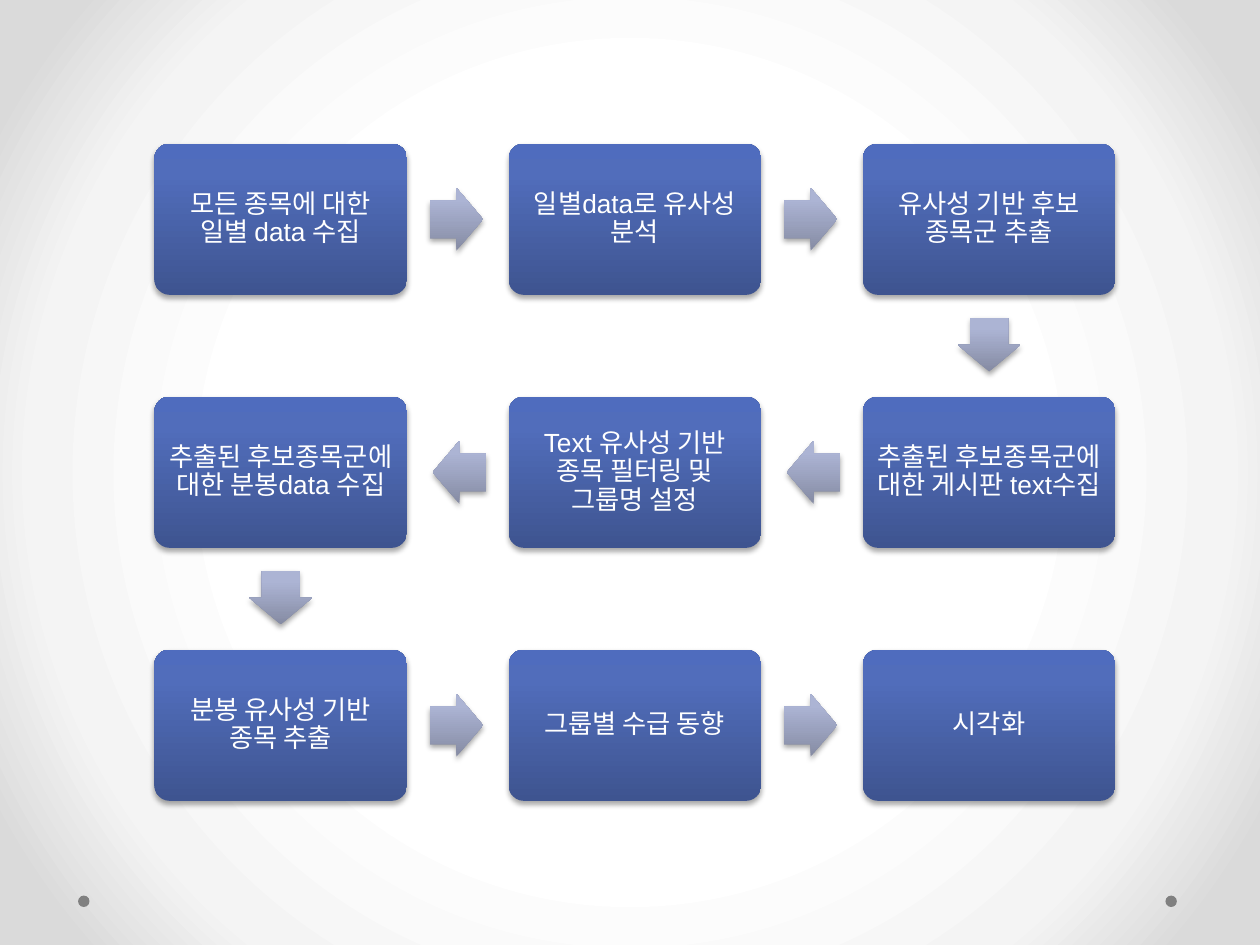
import pptx
import pptx.util
import pptx.oxml
import pptx.oxml.ns
import pptx.dml.color
import pptx.enum.shapes
import pptx.enum.text

Cm = pptx.util.Cm
Pt = pptx.util.Pt
RGB = pptx.dml.color.RGBColor
Kind = pptx.enum.shapes.MSO_SHAPE

WHITE = RGB(0xFF, 0xFF, 0xFF)
GREY = RGB(0x80, 0x80, 0x80)
BLACK = RGB(0, 0, 0)
PAGE = [(50, WHITE), (76, RGB(0xF4, 0xF4, 0xF4)), (92, RGB(0xDA, 0xDA, 0xDA))]
BLUE = [(0, RGB(0x3E, 0x54, 0x90)), (80, RGB(0x51, 0x6D, 0xBB)), (100, RGB(0x4F, 0x6C, 0xBE))]
PALE = [(0, RGB(0x85, 0x8B, 0xA3)), (80, RGB(0xAC, 0xB4, 0xD4)), (100, RGB(0xAC, 0xB5, 0xD6))]
UP = '<a:lin ang="16200000" scaled="0"/>'
ROUND = '<a:path path="circle"><a:fillToRect l="50000" t="50000" r="50000" b="50000"/></a:path>'

STEPS = [
    "모든 종목에 대한 일별 data 수집",
    "일별data로 유사성 분석",
    "유사성 기반 후보 종목군 추출",
    "추출된 후보종목군에 대한 게시판 text수집",
    "Text 유사성 기반 종목 필터링 및 그룹명 설정",
    "추출된 후보종목군에 대한 분봉data 수집",
    "분봉 유사성 기반 종목 추출",
    "그룹별 수급 동향",
    "시각화",
]
COLS = 3
LEFT, TOP = 5.66, 4.42
PITCH_X, PITCH_Y = 7.14, 5.1
REACH_X, REACH_Y = 3.54, 2.53


def assign(item, values):
    for name, value in values.items():
        setattr(item, name, value)


def blend(stops, course):
    marks = "".join(
        f'<a:gs pos="{pos * 1000}"><a:srgbClr val="{color}"/></a:gs>' for pos, color in stops)
    return pptx.oxml.parse_xml(
        f'<a:gradFill {pptx.oxml.ns.nsdecls("a")} rotWithShape="0">'
        f'<a:gsLst>{marks}</a:gsLst>{course}</a:gradFill>')


def shadow():
    return pptx.oxml.parse_xml(
        f'<a:effectLst {pptx.oxml.ns.nsdecls("a")}>'
        '<a:outerShdw blurRad="40000" dist="23000" dir="5400000" rotWithShape="0">'
        f'<a:srgbClr val="{BLACK}"><a:alpha val="35000"/></a:srgbClr>'
        '</a:outerShdw></a:effectLst>')


class Chart:
    font = dict(name="Arial", size=Pt(15))
    frame = dict(word_wrap=True, vertical_anchor=pptx.enum.text.MSO_ANCHOR.MIDDLE,
                 margin_left=Cm(0.16), margin_right=Cm(0.16),
                 margin_top=Cm(0.16), margin_bottom=Cm(0.16))
    para = dict(alignment=pptx.enum.text.PP_ALIGN.CENTER, line_spacing=0.9)

    def __init__(self, slide):
        self.slide = slide

    def page(self, stops):
        self.slide.background.fill.solid()
        props = self.slide.element.find(".//" + pptx.oxml.ns.qn("p:bgPr"))
        props.replace(props[0], blend(stops, ROUND))

    def shape(self, kind, x, y, width, height):
        item = self.slide.shapes.add_shape(
            kind, Cm(x - width / 2), Cm(y - height / 2), Cm(width), Cm(height))
        item.line.fill.background()
        return item

    def dot(self, x, y):
        item = self.shape(Kind.OVAL, x, y, 0.23, 0.23)
        item.shadow.inherit = False
        item.fill.solid()
        item.fill.fore_color.rgb = GREY

    def raised(self, kind, x, y, width, height, stops, adjust):
        item = self.shape(kind, x, y, width, height)
        for i, value in enumerate(adjust):
            item.adjustments[i] = value
        props = item.element.spPr
        props.find(pptx.oxml.ns.qn("a:ln")).addprevious(blend(stops, UP))
        props.append(shadow())
        return item

    def box(self, x, y, text):
        item = self.raised(Kind.ROUNDED_RECTANGLE, x, y, 5.09, 3.05, BLUE, [0.1])
        assign(item.text_frame, self.frame)
        para = item.text_frame.paragraphs[0]
        assign(para, self.para)
        run = para.add_run()
        run.text = text
        assign(run.font, self.font)
        run.font.color.rgb = WHITE

    def arrow(self, x, y, turn):
        item = self.raised(Kind.RIGHT_ARROW, x, y, 1.08, 1.27, PALE, [0.6, 0.5])
        item.rotation = turn


deck = pptx.Presentation()
assign(deck, dict(slide_width=Cm(25.4), slide_height=Cm(19.05)))
chart = Chart(deck.slides.add_slide(deck.slide_layouts[6]))
chart.page(PAGE)
for x in (23.61, 1.69):
    chart.dot(x, 18.17)

for i, text in enumerate(STEPS):
    row, col = divmod(i, COLS)
    back = row % 2
    x = LEFT + PITCH_X * (COLS - 1 - col if back else col)
    y = TOP + PITCH_Y * row
    chart.box(x, y, text)
    if i == len(STEPS) - 1:
        break
    if col == COLS - 1:
        chart.arrow(x, y + REACH_Y, 90)
    elif back:
        chart.arrow(x - REACH_X, y, 180)
    else:
        chart.arrow(x + REACH_X, y, 0)

deck.save("out.pptx")
